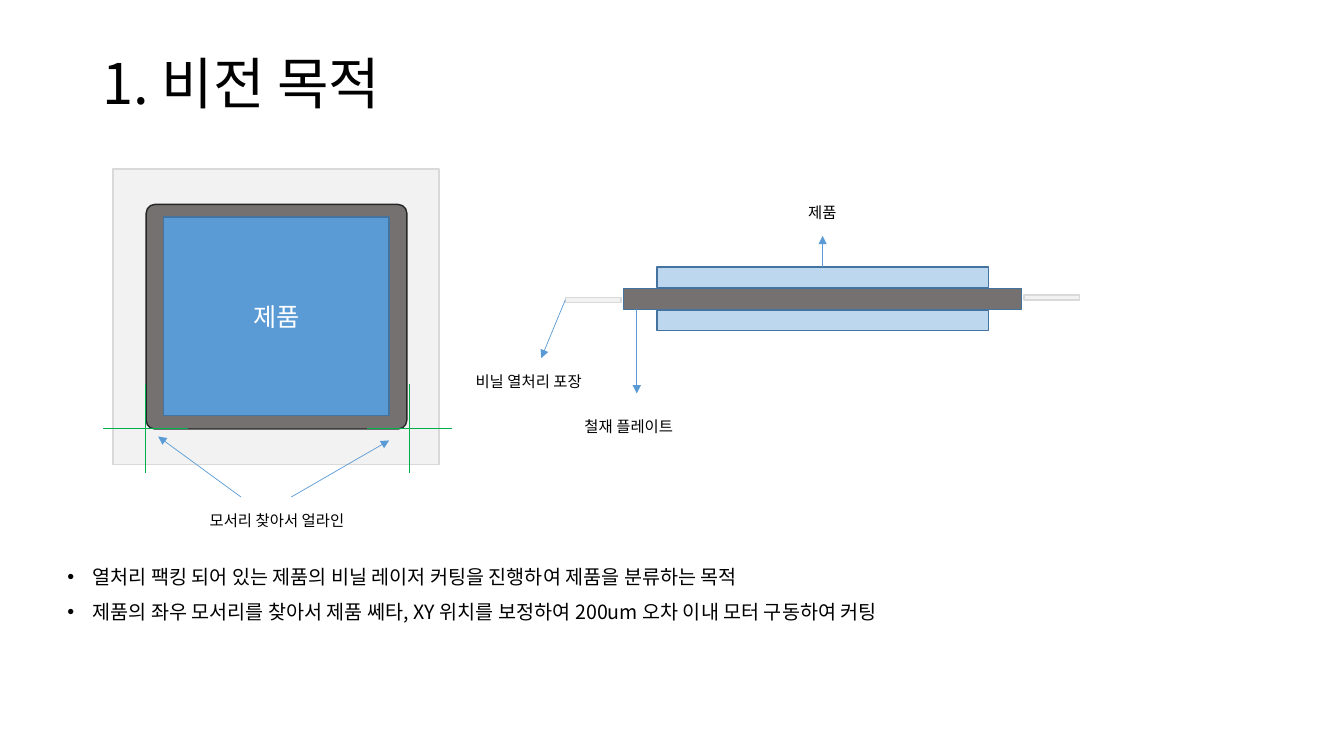
import pptx
import pptx.util
import pptx.dml.color
import pptx.enum.shapes
import pptx.enum.text
import pptx.oxml
import pptx.oxml.ns

Pt = pptx.util.Pt
Kind = pptx.enum.shapes.MSO_SHAPE
Align = pptx.enum.text.PP_ALIGN
Anchor = pptx.enum.text.MSO_ANCHOR

BLUE = "5B9BD5"
EDGE = "43739E"
PALE = "BDD7EE"
STEEL = "767171"
FILM = "F2F2F2"
RIM = "D9D9D9"
GREEN = "00B050"


def color(code):
    return pptx.dml.color.RGBColor.from_string(code)


def add_tag(parent, tag, **attrs):
    node = parent.makeelement(pptx.oxml.ns.qn(tag), attrs)
    parent.append(node)
    return node


class Canvas:
    face = "Noto Sans CJK KR"

    def __init__(self, slide):
        self.slide = slide

    def style(self, para, size, ink):
        para.font.size = Pt(size)
        para.font.name = self.face
        para.font.color.rgb = color(ink)
        props = para._p.get_or_add_pPr()
        add_tag(props.find(pptx.oxml.ns.qn("a:defRPr")), "a:ea", typeface=self.face)

    def box(self, x, y, w, h, fill, edge, kind=Kind.RECTANGLE):
        shape = self.slide.shapes.add_shape(kind, Pt(x), Pt(y), Pt(w), Pt(h))
        shape.shadow.inherit = False
        shape.fill.solid()
        shape.fill.fore_color.rgb = color(fill)
        shape.line.color.rgb = color(edge)
        shape.line.width = Pt(1)
        return shape

    def label(self, shape, text, size, ink):
        frame = shape.text_frame
        frame.vertical_anchor = Anchor.MIDDLE
        para = frame.paragraphs[0]
        para.text = text
        para.alignment = Align.CENTER
        self.style(para, size, ink)

    def text(self, x, y, w, h, lines, size, anchor=Anchor.TOP, space=1.0, bullet=False):
        box = self.slide.shapes.add_textbox(Pt(x), Pt(y), Pt(w), Pt(h))
        frame = box.text_frame
        frame.word_wrap = True
        frame.vertical_anchor = anchor
        for i, line in enumerate(lines):
            para = frame.add_paragraph() if i else frame.paragraphs[0]
            para.text = line
            para.line_spacing = space
            if bullet:
                para.space_before = Pt(10)
                props = para._p.get_or_add_pPr()
                props.set("marL", str(Pt(18)))
                props.set("indent", str(-Pt(18)))
                add_tag(props, "a:buFont", typeface="Arial")
                add_tag(props, "a:buChar", char="•")
            self.style(para, size, "000000")

    def line(self, x1, y1, x2, y2, ink, arrow=False):
        link = self.slide.shapes.add_connector(
            pptx.enum.shapes.MSO_CONNECTOR.STRAIGHT, Pt(x1), Pt(y1), Pt(x2), Pt(y2))
        link.line.color.rgb = color(ink)
        link.line.width = Pt(0.5)
        if arrow:
            add_tag(link.line._get_or_add_ln(), "a:tailEnd", type="triangle")
        add_tag(link._element.spPr, "a:effectLst")

    def cross(self, x, y):
        self.line(x - 30.25, y, x + 30.25, y, GREEN)
        self.line(x, y - 31.7, x, y + 31.7, GREEN)


def main():
    deck = pptx.Presentation()
    deck.slide_width = Pt(960)
    deck.slide_height = Pt(540)
    page = Canvas(deck.slides.add_slide(deck.slide_layouts[6]))

    page.text(66.2, 28.1, 792, 67, ["1. 비전 목적"], 40, Anchor.MIDDLE, 0.9)
    page.text(41, 401.8, 763, 93.6, [
        "열처리 팩킹 되어 있는 제품의 비닐 레이저 커팅을 진행하여 제품을 분류하는 목적",
        "제품의 좌우 모서리를 찾아서 제품 쎄타, XY 위치를 보정하여 200um 오차 이내 모터 구동하여 커팅",
    ], 14, space=0.9, bullet=True)

    page.box(80.8, 120.8, 232.8, 210.8, FILM, RIM)
    plate = page.box(104.4, 146, 186.2, 160.4, STEEL, "262626", Kind.ROUNDED_RECTANGLE)
    plate.adjustments[0] = 0.039
    item = page.box(116.8, 155, 161.2, 141.8, BLUE, EDGE)
    page.label(item, "제품", 18, "FFFFFF")

    page.box(445.2, 206.2, 284.4, 14.8, STEEL, EDGE)
    for y in (190.8, 221.6):
        page.box(469.2, y, 236.8, 14.6, PALE, EDGE)
    for x, y in ((403.9, 212.4), (731.5, 210.8)):
        page.box(x, y, 39.6, 3.6, FILM, RIM)

    for x in (292.3, 103.7):
        page.cross(x, 306.2)

    for ends in (
        (403.9, 214, 386.6, 255.8),
        (454.9, 221, 454.9, 281),
        (587.6, 190.8, 587.6, 168.5),
        (208.1, 355, 278, 314.6),
        (172.1, 355, 113, 311.8),
    ):
        page.line(*ends, BLUE, arrow=True)

    for x, y, w, note in (
        (332.6, 262.1, 103.7, "비닐 열처리 포장"),
        (410.4, 294.5, 103.7, "철재 플레이트"),
        (570.2, 141.8, 103.7, "제품"),
        (142.6, 361.4, 180.7, "모서리 찾아서 얼라인"),
    ):
        page.text(x, y, w, 20.9, [note], 11)

    deck.save("out.pptx")


if __name__ == "__main__":
    main()
